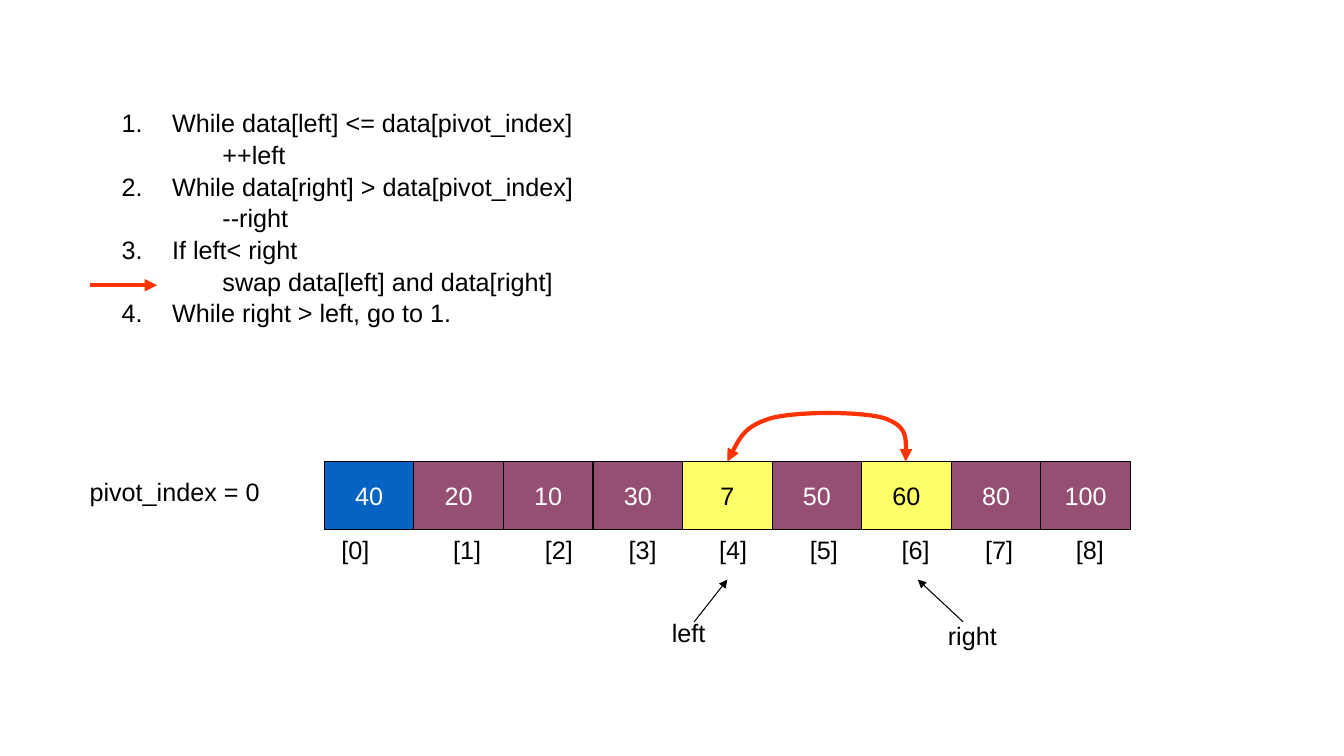
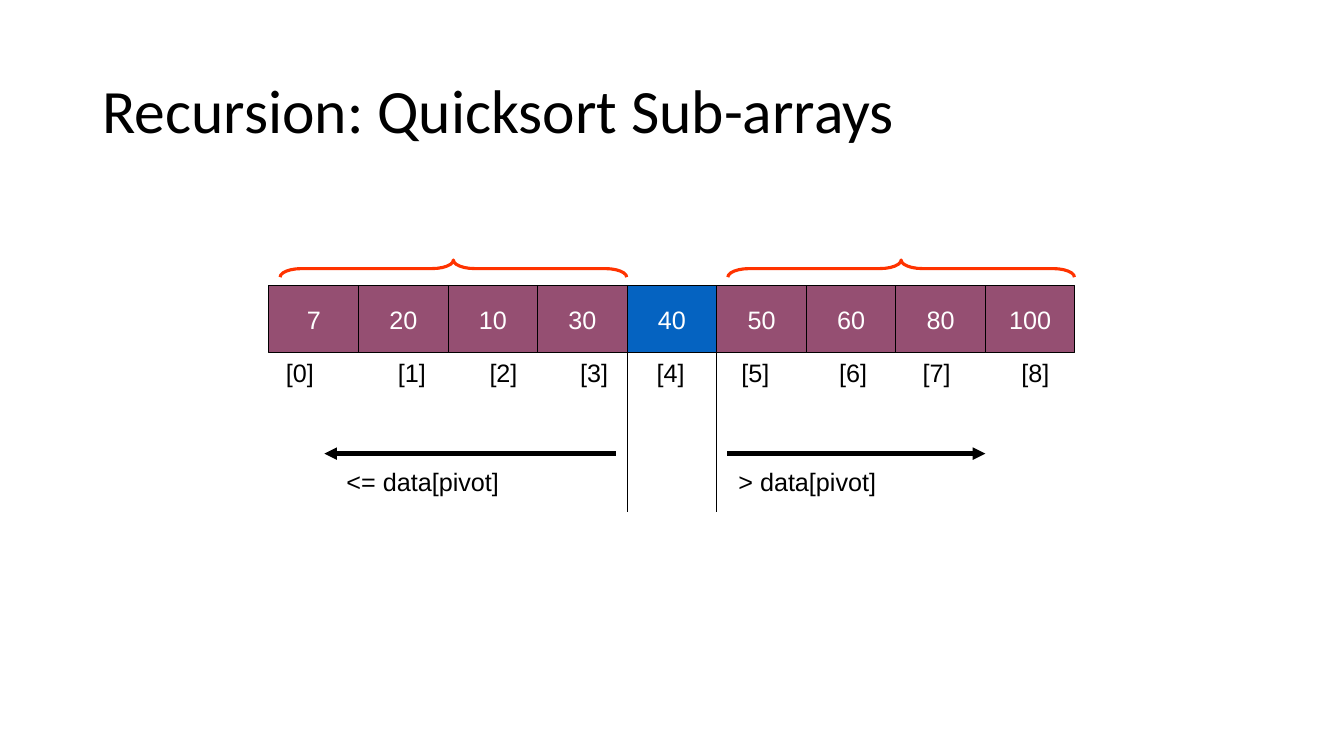
from pptx import Presentation
from pptx.dml.color import RGBColor as RGB
from pptx.enum.shapes import MSO_CONNECTOR as CONN, MSO_SHAPE as SHAPE
from pptx.enum.text import MSO_ANCHOR as ANCHOR, PP_ALIGN as ALIGN
from pptx.oxml.ns import qn
from pptx.util import Inches, Pt
from lxml.etree import SubElement as Sub

BLACK = RGB(0x00, 0x00, 0x00)
WHITE = RGB(0xFF, 0xFF, 0xFF)
BLUE = RGB(0x05, 0x63, 0xC1)
PLUM = RGB(0x95, 0x4F, 0x72)
YELLOW = RGB(0xFF, 0xFF, 0x66)
RED = RGB(0xFF, 0x33, 0x00)

CELL_W, CELL_H = 8 / 9, 0.67
TEXT_H = 0.4
STEPS = [
    (0, "While data[left] <= data[pivot_index]"),
    (1, "++left"),
    (0, "While data[right] > data[pivot_index]"),
    (1, "--right"),
    (0, "If left< right"),
    (1, "swap data[left] and data[right]"),
    (0, "While right > left, go to 1."),
]


def style(frame, color=BLACK, size=18, face="Arial"):
    for par in frame.paragraphs:
        for run in par.runs:
            run.font.name = face
            run.font.size = Pt(size)
            run.font.color.rgb = color


def add_text(slide, text, x, y, w, h=TEXT_H, **font):
    frame = slide.shapes.add_textbox(Inches(x), Inches(y), Inches(w), Inches(h)).text_frame
    frame.word_wrap = True
    frame.text = text
    style(frame, **font)
    return frame


def add_title(slide, text):
    frame = add_text(slide, text, 0.92, 0.4, 11.5, 1.45, size=44, face="Calibri")
    frame.vertical_anchor = ANCHOR.MIDDLE
    frame.paragraphs[0].line_spacing = 0.9


def set_line(shape, color, width, ends=()):
    shape.line.color.rgb = color
    shape.line.width = Pt(width)
    for end in ends:
        Sub(shape.line._get_or_add_ln(), qn(f"a:{end}"), type="triangle")


def add_line(slide, x1, y1, x2, y2, color=BLACK, width=0.75, ends=("tailEnd",)):
    line = slide.shapes.add_connector(CONN.STRAIGHT, Inches(x1), Inches(y1), Inches(x2), Inches(y2))
    set_line(line, color, width, ends)
    Sub(line._element.spPr, qn("a:effectLst"))


def add_steps(slide, x, y, w, h):
    frame = add_text(slide, "\n".join(text for _, text in STEPS), x, y, w, h)
    for par, (level, _) in zip(frame.paragraphs, STEPS):
        par.level = level
        par.space_after = Pt(1)
        props = par._p.get_or_add_pPr()
        props.set("marL", str(Inches(1 if level else 0.5)))
        props.set("indent", str(0 if level else Inches(-0.5)))
        if not level:
            Sub(props, qn("a:buFont"), typeface="+mj-lt")
            Sub(props, qn("a:buAutoNum"), type="arabicPeriod")


def add_array(slide, x, y, values, fills, stops):
    for i, value in enumerate(values):
        cell = slide.shapes.add_shape(
            SHAPE.RECTANGLE, Inches(x + i * CELL_W), Inches(y), Inches(CELL_W), Inches(CELL_H))
        cell.shadow.inherit = False
        fill = fills.get(i, PLUM)
        cell.fill.solid()
        cell.fill.fore_color.rgb = fill
        set_line(cell, BLACK, 0.75)
        frame = cell.text_frame
        frame.text = str(value)
        frame.vertical_anchor = ANCHOR.MIDDLE
        frame.paragraphs[0].alignment = ALIGN.CENTER
        style(frame, BLACK if fill == YELLOW else WHITE)
    labels = "\t".join(f"[{i}]" for i in range(len(values)))
    frame = add_text(slide, labels, x + 0.07, y + CELL_H, 7.91)
    tabs = Sub(frame.paragraphs[0]._p.get_or_add_pPr(), qn("a:tabLst"))
    for stop in stops:
        Sub(tabs, qn("a:tab"), pos=str(Inches(stop)), algn="l")


def add_swap(slide, x, y):
    curves = [
        [(0.09, -0.18), (0.17, -0.35), (0.43, -0.43)],
        [(0.69, -0.5), (1.33, -0.5), (1.56, -0.43)],
        [(1.78, -0.35), (1.78, -0.18), (1.77, 0)],
    ]
    pen = slide.shapes.build_freeform(Inches(x), Inches(y))
    pen.add_line_segments(
        [(Inches(x + dx), Inches(y + dy)) for curve in curves for dx, dy in curve], close=False)
    swap = pen.convert_to_shape()
    swap.shadow.inherit = False
    swap.fill.background()
    set_line(swap, RED, 3, ("headEnd", "tailEnd"))
    route = next(swap._element.iter(qn("a:path")))
    legs = route.findall(qn("a:lnTo"))
    for i in range(0, len(legs), 3):
        bend = Sub(route, qn("a:cubicBezTo"))
        for leg in legs[i:i + 3]:
            bend.append(leg[0])
            route.remove(leg)


def add_brace(slide, x, y, w, h):
    brace = slide.shapes.add_shape(
        SHAPE.LEFT_BRACE, Inches(x + (w - h) / 2), Inches(y + (h - w) / 2), Inches(h), Inches(w))
    brace.rotation = 90
    brace.adjustments[0] = 1.25
    brace.shadow.inherit = False
    brace.fill.background()
    set_line(brace, RED, 2.25)


def swap_slide(slide):
    x, y = 3.22, 4.58
    add_steps(slide, 1.11, 1.02, 5.48, 3.1)
    add_array(slide, x, y, [40, 20, 10, 30, 7, 50, 60, 80, 100],
              {0: BLUE, 4: YELLOW, 6: YELLOW},
              [1.11, 2.02, 2.85, 3.75, 4.65, 5.56, 6.39, 7.29])
    add_text(slide, "pivot_index = 0", 0.79, y + 0.1, 1.89)
    add_text(slide, "left", 6.57, y + 1.5, 3.43)
    add_text(slide, "right", 9.31, y + 1.52, 2.36)
    add_line(slide, 9.56, y + 1.59, 9.11, y + 1.17)
    add_line(slide, 6.89, y + 1.59, 7.22, y + 1.17)
    add_line(slide, 0.89, 2.83, 1.56, 2.83, RED, 3)
    add_swap(slide, x + 4, y)


def split_slide(slide):
    x, y = 2.67, 2.83
    add_title(slide, "Recursion: Quicksort Sub-arrays")
    add_array(slide, x, y, [7, 20, 10, 30, 40, 50, 60, 80, 100], {4: BLUE},
              [1.11, 2.02, 2.92, 3.68, 4.52, 5.49, 6.32, 7.3])
    for i in (4, 5):
        edge = x + i * CELL_W
        add_line(slide, edge, y, edge, y + 2.25, ends=())
    for start, end in ((6.11, 3.22), (7.22, 9.78)):
        add_line(slide, start, y + 1.67, end, y + 1.67, width=3)
    for text, left in (("<= data[pivot]", 3.34), ("> data[pivot]", 7.23)):
        add_text(slide, text, left, y + 1.75, 1.75)
    for i in (0, 5):
        add_brace(slide, x + i * CELL_W + 0.11, y - 0.25, 3.44, 0.17)


def main():
    deck = Presentation()
    deck.slide_width, deck.slide_height = Inches(13.34), Inches(7.5)
    for build in (swap_slide, split_slide):
        build(deck.slides.add_slide(deck.slide_layouts[6]))
    deck.save("out.pptx")


if __name__ == "__main__":
    main()
